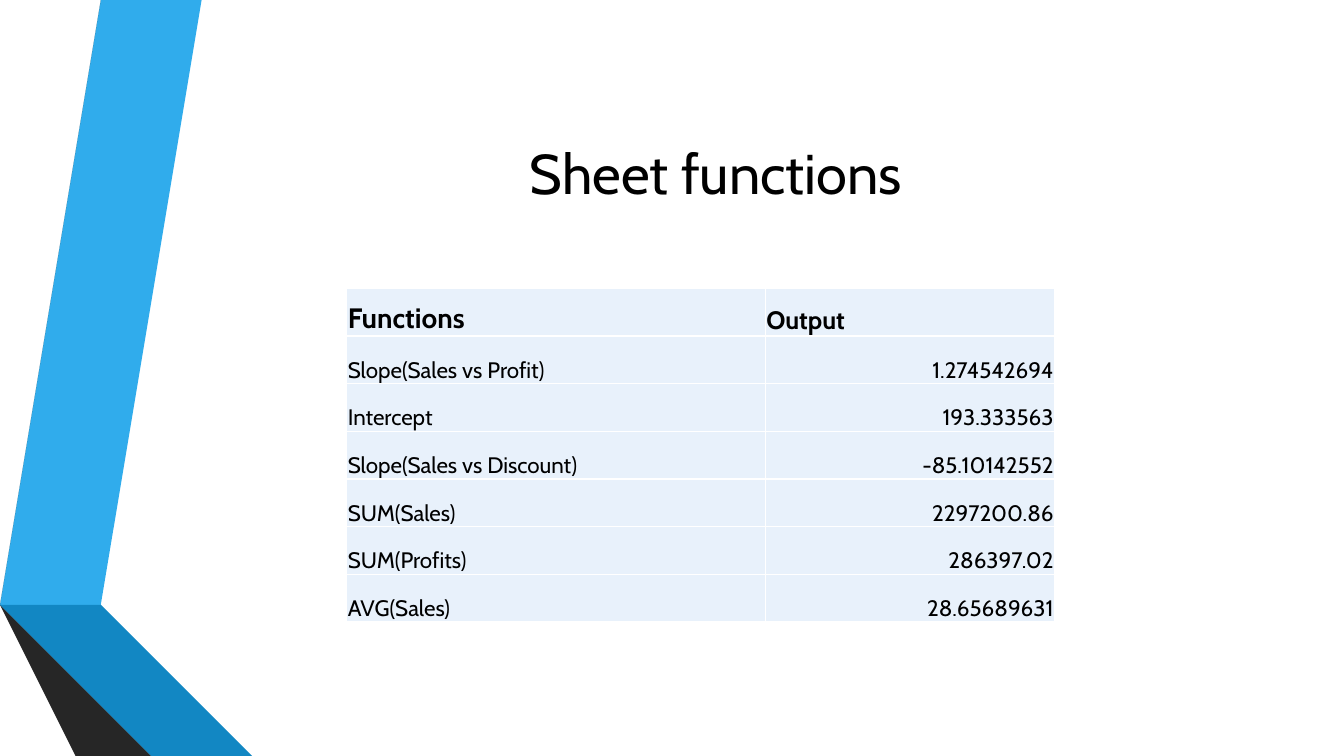
"""Build a slide with a table of spreadsheet functions beside a folded ribbon."""
from lxml import etree
from pptx import Presentation
from pptx.dml.color import RGBColor
from pptx.enum import text
from pptx.oxml.ns import qn
from pptx.util import Inches, Pt


def paint(fill, colour):
    fill.solid()
    fill.fore_color.rgb = RGBColor.from_string(colour)


def write(frame, words, align, size, bold=False):
    paragraph = frame.paragraphs[0]
    paragraph.alignment = align
    run = paragraph.add_run()
    run.text = words
    style = {"name": "Cabin", "size": Pt(size), "bold": bold}
    for key, value in style.items():
        setattr(run.font, key, value)
    paint(run.font.fill, "000000")


deck = Presentation()
deck.slide_width, deck.slide_height = Inches(13.33), Inches(7.5)
slide = deck.slides.add_slide(deck.slide_layouts[6])

ribbon_folds = [
    ("30ACEC", [(0.5, 5.78), (0.77, 5.83), (1.73, 0), (1.45, 0)]),
    ("595959", [(1.39, 0), (1.11, 0), (0.16, 5.73), (0.44, 5.77)]),
    ("262626", [(0.16, 5.73), (1.45, 7.5), (1.51, 7.5)]),
    ("0C5A82", [(0.5, 5.79), (2.08, 7.5), (2.14, 7.5)]),
    ("1287C3", [(0.5, 5.79), (2.14, 7.5), (2.83, 7.5), (0.77, 5.83), (0.5, 5.78)]),
    ("404040", [(2.02, 7.5), (0.48, 5.83), (0.44, 5.77), (0.16, 5.73), (1.51, 7.5)]),
]
for colour, corners in ribbon_folds:
    outline = slide.shapes.build_freeform(*corners[0], scale=Inches(1))
    outline.add_line_segments(corners[1:], close=True)
    fold = outline.convert_to_shape()
    fold.shadow.inherit = False
    fold.line.fill.background()
    paint(fold.fill, colour)

title = slide.shapes.add_textbox(Inches(1.62), Inches(0.75), Inches(10.96), Inches(1.92)).text_frame
title.word_wrap = True
title.vertical_anchor = text.MSO_ANCHOR.MIDDLE
write(title, "Sheet functions", text.PP_ALIGN.CENTER, 40)

results = [
    ("Functions", "Output"),
    ("Slope(Sales vs Profit)", "1.274542694"),
    ("Intercept", "193.333563"),
    ("Slope(Sales vs Discount)", "-85.10142552"),
    ("SUM(Sales)", "2297200.86"),
    ("SUM(Profits)", "286397.02"),
    ("AVG(Sales)", "28.65689631"),
]
header_sizes = (20, 18)
table = slide.shapes.add_table(
    len(results), 2, Inches(3.44), Inches(2.86), Inches(7.02), Inches(3.31)).table
table.first_row = table.horz_banding = False
for column, width in zip(table.columns, (4.15, 2.87)):
    column.width = Inches(width)

cell_format = {
    "vertical_anchor": text.MSO_ANCHOR.BOTTOM,
    "margin_left": Inches(0.01),
    "margin_right": Inches(0.01),
    "margin_top": Inches(0.01),
    "margin_bottom": 0,
}
for r, entries in enumerate(results):
    for c, entry in enumerate(entries):
        cell = table.cell(r, c)
        for key, value in cell_format.items():
            setattr(cell, key, value)
        properties = cell._tc.get_or_add_tcPr()
        for side in ("a:lnL", "a:lnR", "a:lnT", "a:lnB"):
            border = etree.SubElement(properties, qn(side), w=str(Pt(1)))
            border_fill = etree.SubElement(border, qn("a:solidFill"))
            etree.SubElement(border_fill, qn("a:srgbClr"), val="FFFFFF")
        paint(cell.fill, "E8F1FB")
        header = r == 0
        align = text.PP_ALIGN.RIGHT if c and not header else text.PP_ALIGN.LEFT
        write(cell.text_frame, entry, align, header_sizes[c] if header else 16, header)

deck.save("out.pptx")
